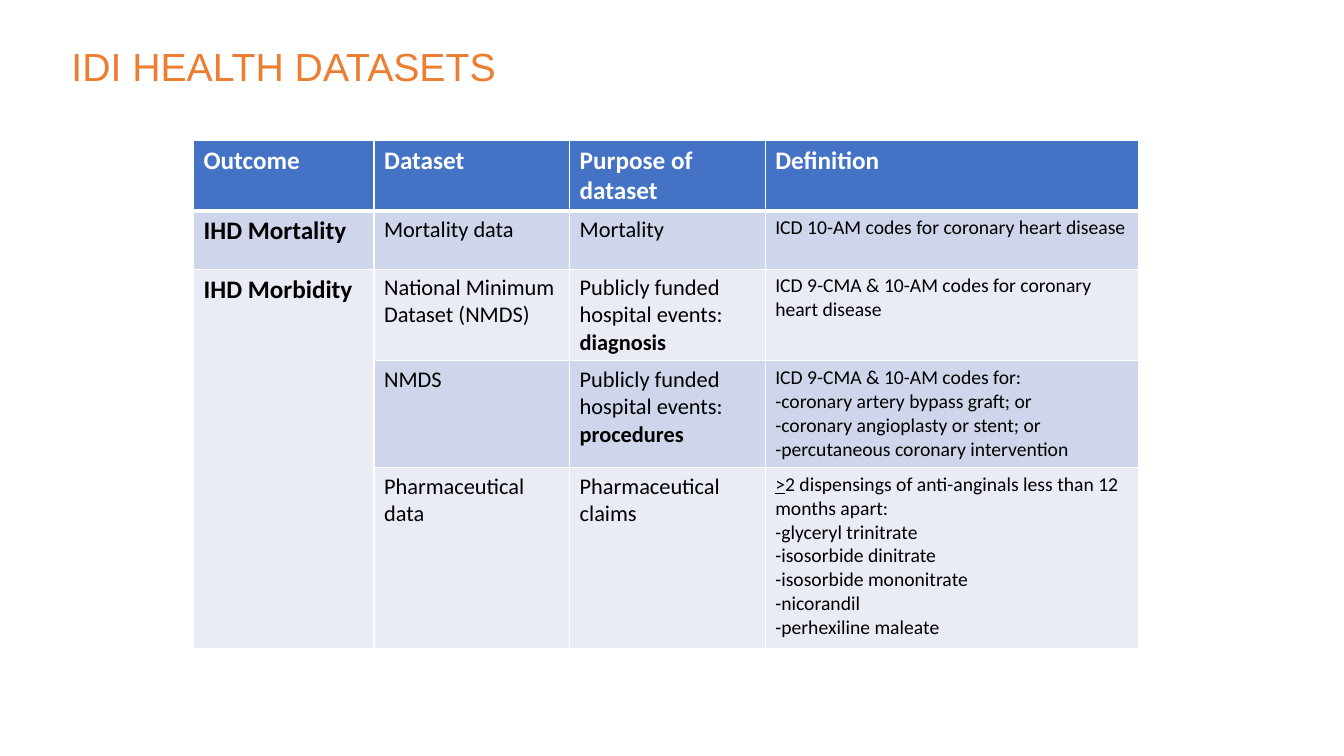
from lxml import etree
from pptx import Presentation
from pptx.dml.color import RGBColor
from pptx.enum.text import MSO_ANCHOR
from pptx.oxml.ns import qn
from pptx.util import Inches, Pt

MIDDLE = MSO_ANCHOR.MIDDLE
COLORS = {
    "title": "ED7D31",
    "header": "4472C4",
    "odd": "CFD5EA",
    "even": "E9EBF5",
    "white": "FFFFFF",
    "black": "000000",
}
COLUMN_WIDTHS = [1.79, 1.94, 1.94, 3.7]
ROW_HEIGHTS = [0.7, 0.58, 0.91, 1.06, 1.79]
COLUMN_SIZES = [18, 16, 16, 14]
HOSPITAL_EVENTS = ("Publicly funded hospital events: ", {})
DATASETS = [
    [["Outcome"], ["Dataset"], ["Purpose of dataset"], ["Definition"]],
    [["IHD Mortality"], ["Mortality data"], ["Mortality"],
     ["ICD 10-AM codes for coronary heart disease"]],
    [["IHD Morbidity"], ["National Minimum Dataset (NMDS)"],
     [[HOSPITAL_EVENTS, ("diagnosis", {"bold": True})]],
     ["ICD 9-CMA & 10-AM codes for coronary heart disease"]],
    [[], ["NMDS"],
     [[HOSPITAL_EVENTS, ("procedures", {"bold": True})]],
     ["ICD 9-CMA & 10-AM codes for:",
      "-coronary artery bypass graft; or",
      "-coronary angioplasty or stent; or",
      "-percutaneous coronary intervention"]],
    [[], ["Pharmaceutical data"], ["Pharmaceutical claims"],
     [[(">", {"underline": True}),
       ("2 dispensings of anti-anginals less than 12 months apart:", {})],
      "-glyceryl trinitrate",
      "-isosorbide dinitrate",
      "-isosorbide mononitrate",
      "-nicorandil",
      "-perhexiline maleate"]],
]


class DatasetSlide:
    """Holds the slide and its style, with a method for each kind of element."""

    def __init__(self, deck):
        self.slide = deck.slides.add_slide(deck.slide_layouts[6])

    def style(self, font, size, color, bold=False, underline=False, name="Calibri"):
        font.name = name
        font.size = Pt(size)
        font.bold = bold
        font.underline = underline
        font.color.rgb = RGBColor.from_string(COLORS[color])

    def title(self, text, left, top, width, height):
        frame = self.slide.shapes.add_textbox(
            Inches(left), Inches(top), Inches(width), Inches(height)).text_frame
        frame.word_wrap = True
        frame.vertical_anchor = MIDDLE
        heading = frame.paragraphs[0]
        heading.text = text
        heading.line_spacing = 0.9
        self.style(heading.font, 28, "title", name="Arial")

    def borders(self, cell, top, bottom):
        properties = cell._tc.get_or_add_tcPr()
        sides = [("lnL", 1), ("lnR", 1), ("lnT", top), ("lnB", bottom)]
        for position, (side, width) in enumerate(sides):
            line = etree.Element(qn(f"a:{side}"), w=str(Pt(width)))
            fill = etree.SubElement(line, qn("a:solidFill"))
            etree.SubElement(fill, qn("a:srgbClr"), val=COLORS["white"])
            properties.insert(position, line)

    def cell_text(self, cell, lines, size, color, bold):
        frame = cell.text_frame
        for index, line in enumerate(lines):
            paragraph = frame.add_paragraph() if index else frame.paragraphs[0]
            if isinstance(line, str):
                paragraph.text = line
                self.style(paragraph.font, size, color, bold)
                continue
            for text, emphasis in line:
                run = paragraph.add_run()
                run.text = text
                self.style(run.font, size, color, **emphasis)

    def table(self, rows, left, top):
        table = self.slide.shapes.add_table(
            len(rows), len(COLUMN_WIDTHS), Inches(left), Inches(top),
            Inches(sum(COLUMN_WIDTHS)), Inches(sum(ROW_HEIGHTS))).table
        for column, width in zip(table.columns, COLUMN_WIDTHS):
            column.width = Inches(width)
        for row, height in zip(table.rows, ROW_HEIGHTS):
            row.height = Inches(height)
        for r, row in enumerate(rows):
            header = r == 0
            band = "header" if header else "odd" if r % 2 else "even"
            for c, lines in enumerate(row):
                cell = table.cell(r, c)
                fill = "even" if c == 0 and r > 1 else band
                cell.fill.solid()
                cell.fill.fore_color.rgb = RGBColor.from_string(COLORS[fill])
                self.borders(cell, 3 if r == 1 else 1, 3 if header else 1)
                self.cell_text(cell, lines, 18 if header else COLUMN_SIZES[c],
                               "white" if header else "black", header or c == 0)
        table.cell(2, 0).merge(table.cell(len(rows) - 1, 0))


def main():
    deck = Presentation()
    deck.slide_width = Inches(13.33)
    deck.slide_height = Inches(7.5)
    health = DatasetSlide(deck)
    health.title("IDI HEALTH DATASETS", 0.61, 0.29, 11.48, 0.79)
    health.table(DATASETS, 1.92, 1.39)
    deck.save("out.pptx")


if __name__ == "__main__":
    main()
